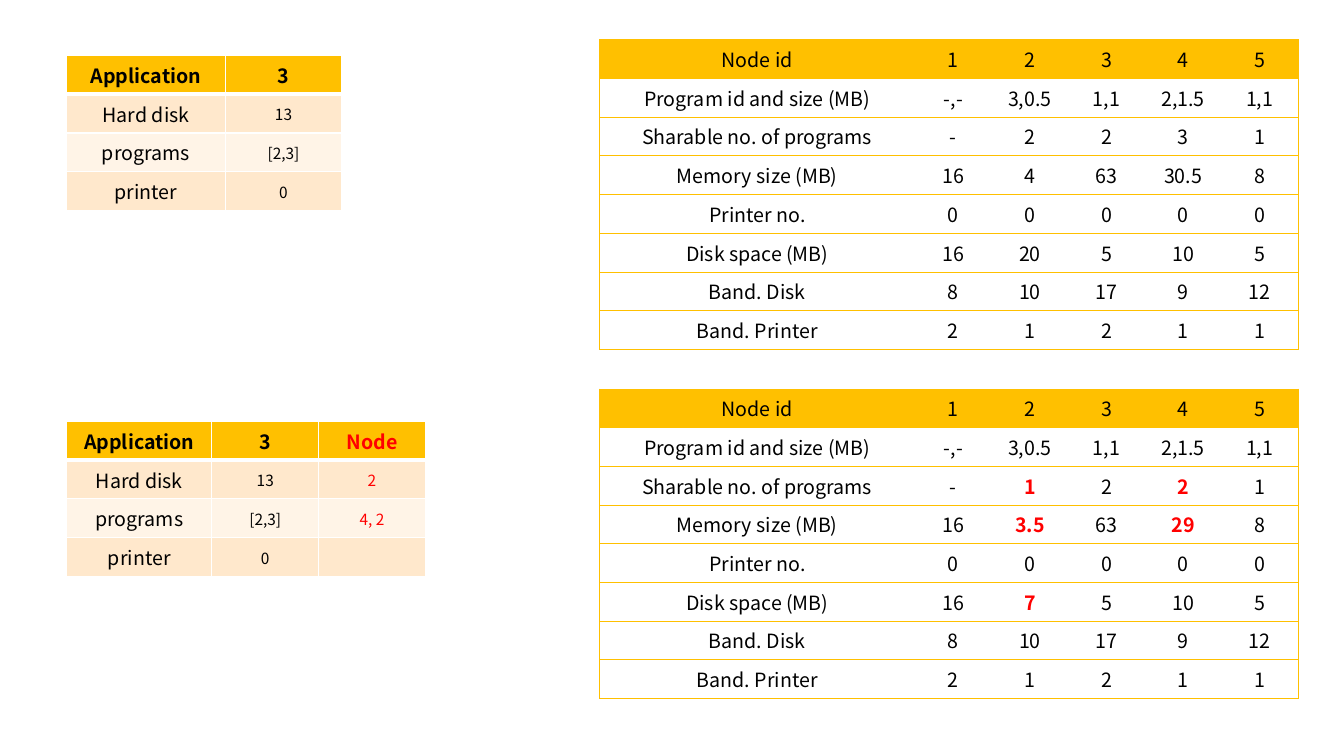
"""Build a slide of application requests and node resources before and after allocation."""
from lxml import etree
from pptx import Presentation
from pptx.dml.color import RGBColor
from pptx.enum.text import MSO_ANCHOR, PP_ALIGN
from pptx.oxml.ns import qn
from pptx.util import Cm, Pt

CENTER = PP_ALIGN.CENTER
MIDDLE, TOP = MSO_ANCHOR.MIDDLE, MSO_ANCHOR.TOP
FONT = "Noto Sans CJK JP"
AMBER = RGBColor(0xFF, 0xC0, 0x00)
PEACH = RGBColor(0xFF, 0xE8, 0xCC)
CREAM = RGBColor(0xFF, 0xF4, 0xE7)
WHITE = RGBColor(0xFF, 0xFF, 0xFF)
BLACK = RGBColor(0x00, 0x00, 0x00)
RED = RGBColor(0xFF, 0x00, 0x00)

REQUEST = [
    ("Application", "3"),
    ("Hard disk", "13"),
    ("programs", "[2,3]"),
    ("printer", "0"),
]
ASSIGNED_NODES = ["Node", "2", "4, 2", ""]
NODES = [
    ("Node id", "1", "2", "3", "4", "5"),
    ("Program id and size (MB)", "-,-", "3,0.5", "1,1", "2,1.5", "1,1"),
    ("Sharable no. of programs", "-", "2", "2", "3", "1"),
    ("Memory size (MB)", "16", "4", "63", "30.5", "8"),
    ("Printer no.", "0", "0", "0", "0", "0"),
    ("Disk space (MB)", "16", "20", "5", "10", "5"),
    ("Band. Disk", "8", "10", "17", "9", "12"),
    ("Band. Printer", "2", "1", "2", "1", "1"),
]
CHANGES = {(2, 2): "1", (2, 4): "2", (3, 2): "3.5", (3, 4): "29", (5, 2): "7"}

REQUEST_LEFT, NODES_LEFT = 1.68, 15.11
REQUEST_ROW, NODES_ROW = 0.91, 0.93
NODES_WIDTHS = [7.95] + [1.93] * 5


def add_grid(s, rows, left, top, widths, row_height):
    frame = s.shapes.add_table(len(rows), len(widths), Cm(left), Cm(top),
                               Cm(sum(widths)), Cm(row_height * len(rows)))
    table = frame.table
    table.first_row = table.horz_banding = False
    for column, width in zip(table.columns, widths):
        column.width = Cm(width)
    for row in table.rows:
        row.height = Cm(row_height)
    return table


def set_border(cell, side, color, width):
    ln = etree.SubElement(cell._tc.get_or_add_tcPr(), qn("a:ln" + side), w=str(Pt(width)))
    if color is None:
        etree.SubElement(ln, qn("a:noFill"))
    else:
        fill = etree.SubElement(ln, qn("a:solidFill"))
        etree.SubElement(fill, qn("a:srgbClr"), val=str(color))


def set_fill(cell, color):
    if color is None:
        cell.fill.background()
    else:
        cell.fill.solid()
        cell.fill.fore_color.rgb = color


def set_text(cell, text, size, color, bold, anchor):
    cell.vertical_anchor = anchor
    p = cell.text_frame.paragraphs[0]
    p.alignment = CENTER
    p.font.name, p.font.size, p.font.bold = FONT, Pt(size), bold
    p.font.color.rgb = color
    if text:
        p.add_run().text = text


def add_request(s, rows, top, widths):
    table = add_grid(s, rows, REQUEST_LEFT, top, widths, REQUEST_ROW)
    for i, row in enumerate(rows):
        for j, text in enumerate(row):
            cell = table.cell(i, j)
            small = i > 0 and j > 0
            if small:
                cell.margin_left = cell.margin_right = cell.margin_top = Cm(0.03)
                cell.margin_bottom = 0
            for side in "LRTB":
                under_header = (i, side) in ((0, "B"), (1, "T"))
                set_border(cell, side, WHITE, 3 if under_header else 1)
            set_fill(cell, AMBER if i == 0 else (CREAM, PEACH)[i % 2])
            set_text(cell, text, 11 if small else 14, RED if j == 2 else BLACK,
                     i == 0, MIDDLE)


def add_nodes(s, rows, top, changed):
    table = add_grid(s, rows, NODES_LEFT, top, NODES_WIDTHS, NODES_ROW)
    for i, row in enumerate(rows):
        for j, text in enumerate(row):
            cell = table.cell(i, j)
            set_border(cell, "L", AMBER if j == 0 else None, 0.5)
            set_border(cell, "R", AMBER if j == len(row) - 1 else None, 0.5)
            set_border(cell, "T", AMBER, 0.5)
            set_border(cell, "B", AMBER, 0.5)
            set_fill(cell, AMBER if i == 0 else None)
            mark = (i, j) in changed
            set_text(cell, text, 14, RED if mark else BLACK, mark, TOP)


def main():
    prs = Presentation()
    prs.slide_width, prs.slide_height = Cm(33.87), Cm(19.05)
    s = prs.slides.add_slide(prs.slide_layouts[6])
    assigned = [row + (node,) for row, node in zip(REQUEST, ASSIGNED_NODES)]
    updated = [[CHANGES.get((i, j), text) for j, text in enumerate(row)]
               for i, row in enumerate(NODES)]
    add_request(s, REQUEST, 1.4, [4, 2.93])
    add_nodes(s, NODES, 1, {})
    add_request(s, assigned, 10.62, [3.66, 2.69, 2.69])
    add_nodes(s, updated, 9.8, CHANGES)
    prs.save("out.pptx")


if __name__ == "__main__":
    main()
